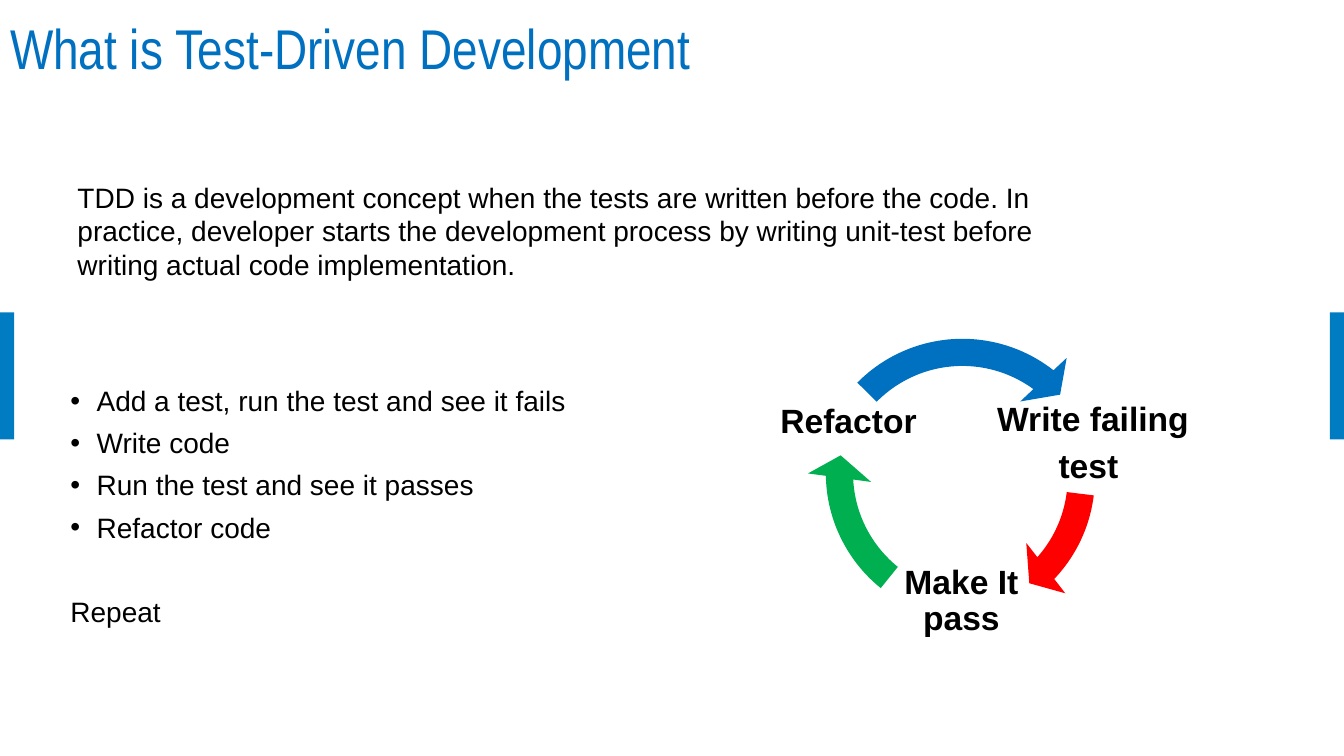
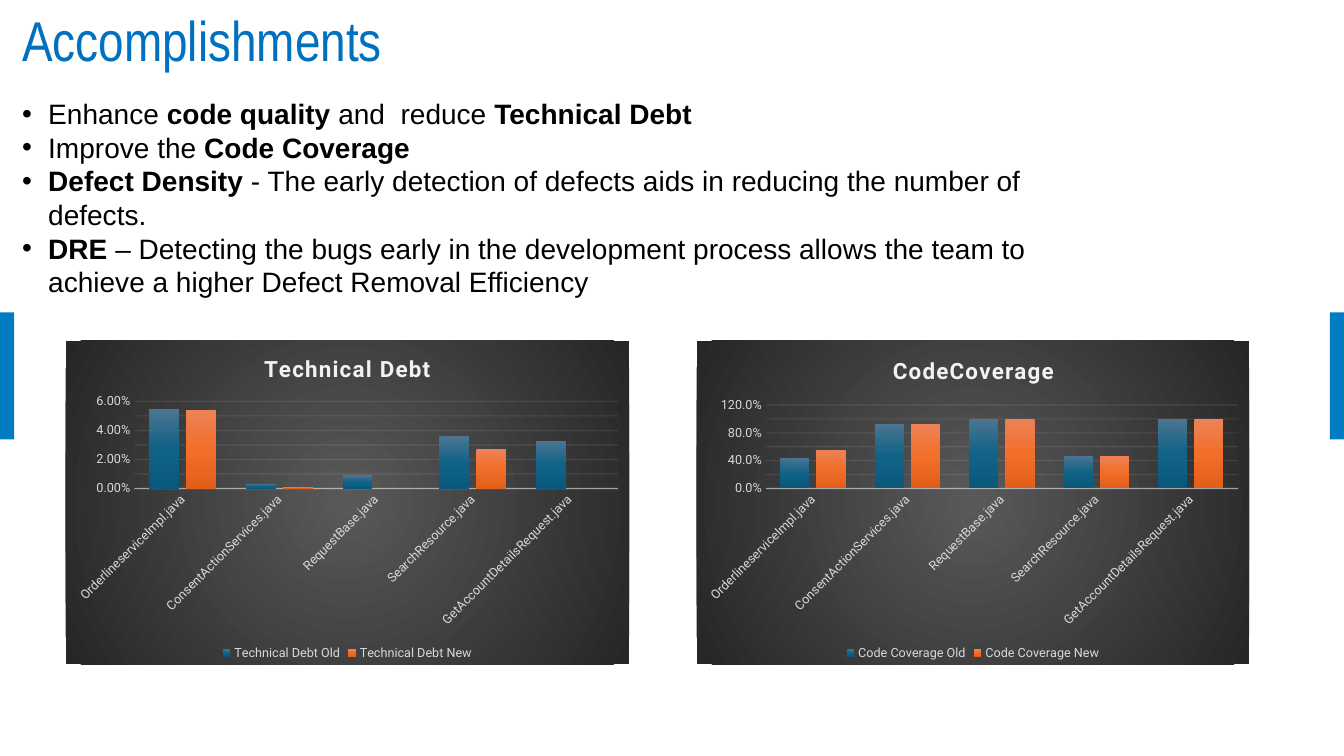
from dataclasses import dataclass
from typing import Any, Optional

from lxml.etree import SubElement, _Element as Element
from pptx import Presentation
from pptx.chart.chart import Chart
from pptx.chart.data import CategoryChartData
from pptx.dml.color import RGBColor
from pptx.dml.line import LineFormat
from pptx.enum.chart import XL_CHART_TYPE as ChartType
from pptx.enum.chart import XL_LEGEND_POSITION as LegendPosition
from pptx.enum.chart import XL_TICK_MARK as TickMark
from pptx.enum.shapes import MSO_SHAPE as ShapeKind
from pptx.enum.text import MSO_ANCHOR as Anchor
from pptx.enum.text import MSO_AUTO_SIZE as AutoSize
from pptx.enum.text import PP_ALIGN as Align
from pptx.oxml.ns import qn
from pptx.presentation import Presentation as Deck
from pptx.slide import Slide
from pptx.text.text import TextFrame
from pptx.util import Emu, Pt

EMU_PER_PX = 9144  # 100 px to the inch


def px(length: int) -> Emu:
    return Emu(length * EMU_PER_PX)


@dataclass(frozen=True)
class Theme:
    title_color: str = "0070C0"
    band: str = "007CC3"
    text: str = "000000"
    red: str = "FF0000"
    green: str = "00B050"
    blue: str = "0070C0"
    chart_text: str = "D9D9D9"
    chart_light: str = "F2F2F2"
    chart_back: tuple[str, ...] = ("595959", "262626")
    series: tuple[tuple[str, ...], ...] = (
        ("4C7591", "106287", "09597D"),
        ("ED8257", "F26E29", "E25F1A"),
    )
    title_font: str = "Arial Narrow"
    body_font: str = "Arial"
    chart_font: str = "Roboto"
    title_size: int = 40
    body_size: int = 20
    label_size: int = 24
    chart_title_size: int = 16
    chart_size: int = 9


THEME = Theme()


@dataclass(frozen=True)
class Box:
    left: int
    top: int
    width: int
    height: int

    def emu(self) -> tuple[Emu, Emu, Emu, Emu]:
        return px(self.left), px(self.top), px(self.width), px(self.height)


@dataclass(frozen=True)
class Run:
    text: str
    bold: bool = False


@dataclass(frozen=True)
class Line:
    runs: tuple[Run, ...]
    bulleted: bool = False
    space_before: int = 0
    indent: int = 0


@dataclass(frozen=True)
class CycleStep:
    label: tuple[Line, ...]
    label_box: Box
    arrow_left: int
    arrow_top: int
    arrow_end: float
    arrow_start: float
    color: str


@dataclass(frozen=True)
class BarChart:
    """A chart with the places of its title and plot area in percent of its size."""
    title: str
    box: Box
    number_format: str
    maximum: float
    step: float
    old: tuple[Optional[float], ...]
    new: tuple[Optional[float], ...]
    series_name: str
    title_place: dict[str, float]
    plot_place: dict[str, float]


SIDE_BANDS = (Box(0, 310, 14, 126), Box(1319, 310, 14, 126))

INTRODUCTION = (Line((Run(
    "TDD is a development concept when the tests are written before the code. In practice, "
    "developer starts the development process by writing unit-test before writing actual "
    "code implementation."),)),)

STEPS = (
    *(Line((Run(text),), bulleted=True) for text in (
        "Add a test, run the test and see it fails",
        "Write code",
        "Run the test and see it passes",
        "Refactor code",
    )),
    Line((Run("Repeat"),), space_before=30),
)

ARROW_SIZE = 329
RING_WIDTH, HEAD_SWEEP, HEAD_WIDTH = 8.2 / 100, 5.75, 9.6 / 100
CYCLE = (
    CycleStep((Line((Run("Write failing", True),), indent=9), Line((Run("test", True),))),
              Box(905, 390, 349, 101), 775, 309, 25.6, 4.23, THEME.red),
    CycleStep((Line((Run("Make It pass", True),)),),
              Box(884, 527, 139, 139), 801, 305, 106.86, 77.34, THEME.green),
    CycleStep((Line((Run("Refactor", True),)),),
              Box(757, 387, 169, 64), 790, 318, 184.34, 134.79, THEME.blue),
)

ACCOMPLISHMENTS = tuple(Line(runs, bulleted=True) for runs in (
    (Run("Enhance "), Run("code quality", True), Run(" and  reduce "), Run("Technical Debt", True)),
    (Run("Improve the"), Run(" Code Coverage", True)),
    (Run("Defect Density", True),
     Run(" - The early detection of defects aids in reducing the number of defects.")),
    (Run("DRE", True),
     Run(" – Detecting the bugs early in the development process allows the team to achieve "
         "a higher Defect Removal Efficiency")),
))

FILES = ("OrderlineserviceImpl.java", "ConsentActionServices.java", "RequestBase.java",
         "SearchResource.java", "GetAccountDetailsRequest.java")
CHARTS = (
    BarChart("Technical Debt", Box(65, 338, 559, 321), "0.00%", 0.06, 0.01,
             (0.055, 0.003, 0.009, 0.036, 0.033), (0.054, 0.001, None, 0.027, None),
             "Technical Debt", {"x": 34.5, "y": 3.1},
             {"x": 12.2, "y": 18.8, "w": 85.8, "h": 26.9}),
    BarChart("CodeCoverage", Box(691, 338, 548, 321), "0.0%", 1.2, 0.2,
             (0.44, 0.93, 1, 0.47, 1), (0.56, 0.93, 1, 0.47, 1),
             "Code Coverage", {"x": 34.8, "y": 3.7},
             {"x": 12.5, "y": 19.9, "w": 85.5, "h": 25.8}),
)


def set_all(target: Any, values: dict[str, Any]) -> None:
    for name, value in values.items():
        setattr(target, name, value)


def set_font(font: Any, name: str, size: int, color: str, bold: bool = False) -> None:
    set_all(font, {"name": name, "size": Pt(size), "bold": bold})
    font.color.rgb = RGBColor.from_string(color)


def add_bullet(paragraph: Any) -> None:
    properties = paragraph._p.get_or_add_pPr()
    properties.set("marL", str(px(26)))
    properties.set("indent", str(-px(26)))
    SubElement(properties, qn("a:buFont"), typeface=THEME.body_font)
    SubElement(properties, qn("a:buChar"), char="•")


def write_lines(frame: TextFrame, lines: tuple[Line, ...], size: int, layout: dict[str, Any]) -> None:
    for index, line in enumerate(lines):
        paragraph = frame.paragraphs[0] if index == 0 else frame.add_paragraph()
        set_all(paragraph, {**layout, "space_before": Pt(line.space_before)})
        if line.bulleted:
            add_bullet(paragraph)
        elif line.indent:
            paragraph._p.get_or_add_pPr().set("marL", str(px(line.indent)))
        for part in line.runs:
            run = paragraph.add_run()
            run.text = part.text
            set_font(run.font, THEME.body_font, size, THEME.text, part.bold)


def add_text(slide: Slide, box: Box, lines: tuple[Line, ...], space_after: int = 0) -> None:
    frame = slide.shapes.add_textbox(*box.emu()).text_frame
    frame.word_wrap = True
    write_lines(frame, lines, THEME.body_size, {"space_after": Pt(space_after)})


def add_solid(slide: Slide, kind: ShapeKind, box: Box, color: str) -> Any:
    shape = slide.shapes.add_shape(kind, *box.emu())
    shape.shadow.inherit = False
    shape.fill.solid()
    shape.fill.fore_color.rgb = RGBColor.from_string(color)
    shape.line.fill.background()
    return shape


def add_titled_slide(presentation: Deck, title: str, box: Box, anchor: Anchor,
                     line_spacing: float) -> Slide:
    slide = presentation.slides.add_slide(presentation.slide_layouts.get_by_name("Title Only"))
    for band in SIDE_BANDS:
        add_solid(slide, ShapeKind.RECTANGLE, band, THEME.band)
    shape = slide.shapes.title
    set_all(shape, dict(zip(("left", "top", "width", "height"), box.emu())))
    frame = shape.text_frame
    frame.text = title
    set_all(frame, {"auto_size": AutoSize.NONE, "word_wrap": True, "vertical_anchor": anchor})
    paragraph = frame.paragraphs[0]
    set_all(paragraph, {"alignment": Align.LEFT, "line_spacing": line_spacing})
    set_font(paragraph.runs[0].font, THEME.title_font, THEME.title_size, THEME.title_color)
    return slide


def add_cycle_step(slide: Slide, step: CycleStep) -> None:
    arrow_box = Box(step.arrow_left, step.arrow_top, ARROW_SIZE, ARROW_SIZE)
    arrow = add_solid(slide, ShapeKind.CIRCULAR_ARROW, arrow_box, step.color)
    outline = (RING_WIDTH, HEAD_SWEEP, step.arrow_end, step.arrow_start, HEAD_WIDTH)
    for index, value in enumerate(outline):
        arrow.adjustments[index] = value
    frame = slide.shapes.add_textbox(*step.label_box.emu()).text_frame
    margins = {f"margin_{side}": px(3) for side in ("left", "top", "right", "bottom")}
    set_all(frame, {"word_wrap": True, "vertical_anchor": Anchor.MIDDLE, **margins})
    write_lines(frame, step.label, THEME.label_size,
                {"alignment": Align.CENTER, "line_spacing": 0.9, "space_after": Pt(8)})


def add_gradient(properties: Element, colors: tuple[str, ...], radial: bool = False) -> None:
    gradient = SubElement(properties, qn("a:gradFill"), rotWithShape="1")
    stops = SubElement(gradient, qn("a:gsLst"))
    for index, color in enumerate(colors):
        stop = SubElement(stops, qn("a:gs"), pos=str(100000 * index // (len(colors) - 1)))
        SubElement(stop, qn("a:srgbClr"), val=color)
    if radial:
        focus = SubElement(gradient, qn("a:path"), path="circle")
        SubElement(focus, qn("a:fillToRect"), l="50000", t="50000", r="50000", b="50000")
    else:
        SubElement(gradient, qn("a:lin"), ang="5400000", scaled="0")


def set_faint_line(line: LineFormat, width: float, percent: int) -> None:
    line.width = Pt(width)
    line.color.rgb = RGBColor.from_string(THEME.chart_light)
    color = line._get_or_add_ln().find(".//" + qn("a:srgbClr"))
    SubElement(color, qn("a:alpha"), val=str(percent * 1000))


def place(parent: Element, position: dict[str, float], inner: bool = False) -> None:
    """Give a chart title or plot area a fixed place, in percent of the chart."""
    for layout in parent.findall(qn("c:layout")):
        parent.remove(layout)
    layout = parent.makeelement(qn("c:layout"))
    text = parent.find(qn("c:tx"))
    if text is None:
        parent.insert(0, layout)
    else:
        text.addnext(layout)
    manual = SubElement(layout, qn("c:manualLayout"))
    if inner:
        SubElement(manual, qn("c:layoutTarget"), val="inner")
    for axis in ("x", "y"):
        SubElement(manual, qn(f"c:{axis}Mode"), val="edge")
    for name, percent in position.items():
        SubElement(manual, qn(f"c:{name}"), val=f"{percent / 100:.3f}")


def format_axes(chart: Chart, model: BarChart) -> None:
    values, categories = chart.value_axis, chart.category_axis
    for axis in (values, categories):
        set_all(axis, {"major_tick_mark": TickMark.NONE, "minor_tick_mark": TickMark.NONE})
        set_font(axis.tick_labels.font, THEME.chart_font, THEME.chart_size, THEME.chart_text)
    set_all(values, {"minimum_scale": 0, "maximum_scale": model.maximum,
                     "major_unit": model.step, "has_major_gridlines": True})
    set_all(values.tick_labels, {"number_format": model.number_format,
                                 "number_format_is_linked": False})
    values.format.line.fill.background()
    set_faint_line(values.major_gridlines.format.line, 0.75, 10)
    set_faint_line(categories.format.line, 1, 54)
    label_body = categories._element.find(f"{qn('c:txPr')}/{qn('a:bodyPr')}")
    label_body.attrib.update({"rot": "-2700000", "vert": "horz"})


def add_bar_chart(slide: Slide, model: BarChart) -> None:
    data = CategoryChartData(number_format=model.number_format)
    data.categories = FILES
    data.add_series(f"{model.series_name} Old", model.old)
    data.add_series(f"{model.series_name} New", model.new)
    chart = slide.shapes.add_chart(ChartType.COLUMN_CLUSTERED, *model.box.emu(), data).chart
    set_font(chart.font, THEME.chart_font, 10, THEME.text)
    set_all(chart, {"has_title": True, "has_legend": True})
    set_all(chart.legend, {"position": LegendPosition.BOTTOM, "include_in_layout": False})
    set_font(chart.legend.font, THEME.chart_font, THEME.chart_size, THEME.chart_text)
    chart.chart_title.text_frame.text = model.title
    font = chart.chart_title.text_frame.paragraphs[0].runs[0].font
    set_font(font, THEME.chart_font, THEME.chart_title_size, THEME.chart_light, bold=True)
    font._element.set("spc", "100")
    set_all(chart.plots[0], {"gap_width": 100, "overlap": -24, "vary_by_categories": False})
    format_axes(chart, model)
    for series, colors in zip(chart.plots[0].series, THEME.series):
        add_gradient(series._element.get_or_add_spPr(), colors)
    body = chart._chartSpace.find(qn("c:chart"))
    place(body.find(qn("c:title")), model.title_place)
    place(body.find(qn("c:plotArea")), model.plot_place, inner=True)
    background = body.makeelement(qn("c:spPr"))
    body.addnext(background)
    add_gradient(background, THEME.chart_back, radial=True)
    SubElement(SubElement(background, qn("a:ln")), qn("a:noFill"))


def main() -> None:
    presentation = Presentation()
    set_all(presentation, {"slide_width": px(1333), "slide_height": px(750)})

    concept = add_titled_slide(presentation, "What is Test-Driven Development",
                               Box(0, 0, 1150, 102), Anchor.MIDDLE, 0.9)
    add_text(concept, Box(67, 174, 1025, 111), INTRODUCTION, space_after=6)
    add_text(concept, Box(60, 376, 607, 256), STEPS, space_after=6)
    for step in CYCLE:
        add_cycle_step(concept, step)

    results = add_titled_slide(presentation, "Accomplishments",
                               Box(12, 0, 460, 77), Anchor.TOP, 1.0)
    add_text(results, Box(12, 91, 1078, 246), ACCOMPLISHMENTS)
    for model in CHARTS:
        add_bar_chart(results, model)

    presentation.save("out.pptx")


if __name__ == "__main__":
    main()
